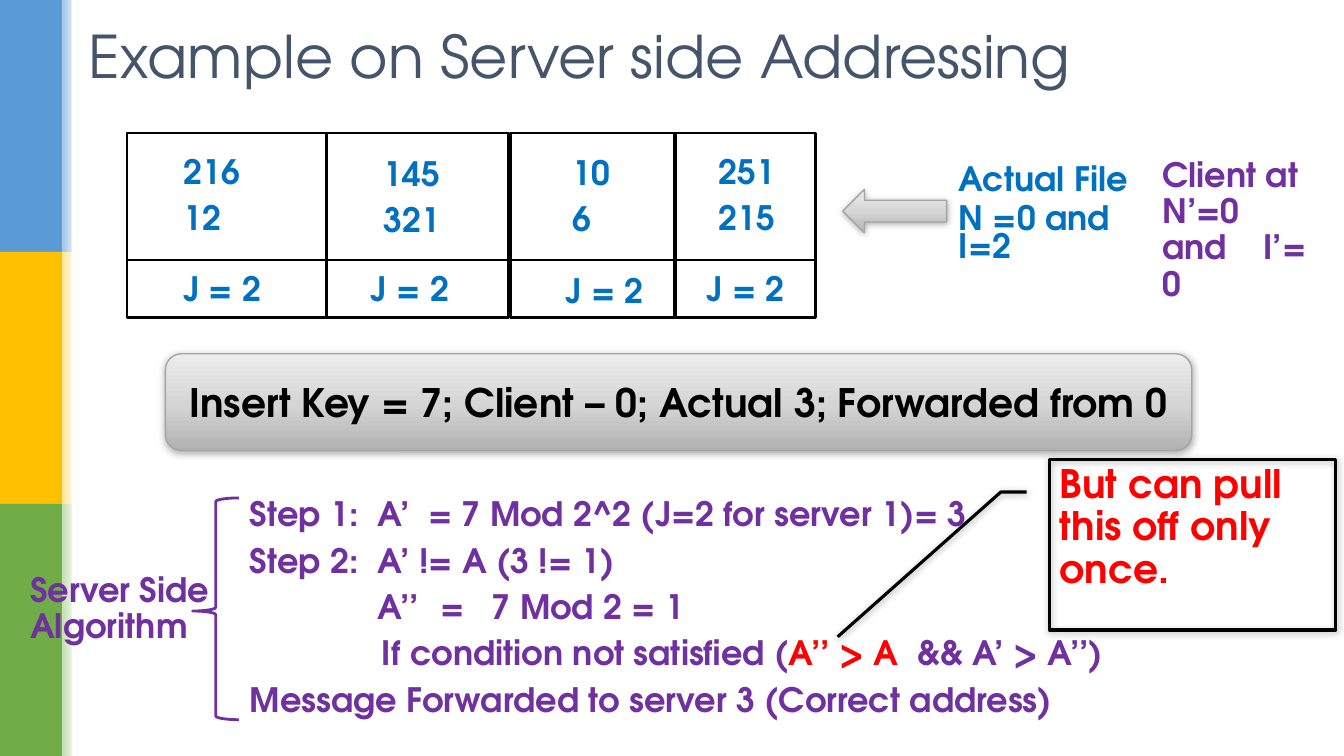
import pptx
import pptx.dml.color
import pptx.enum.shapes
import pptx.enum.text
import pptx.oxml
import pptx.oxml.ns
import pptx.util
from pptx.util import Inches, Pt
from lxml import etree

THEME = {
    "font": "TeX Gyre Adventor",
    "title": "44546A", "blue": "0070C0", "purple": "7030A0",
    "red": "FF0000", "black": "000000", "white": "FFFFFF", "edge": "A5A5A5",
    "silver": [(0, "B1B1B1"), (48, "D5D5D5"), (100, "EDEDED")],
    "title_size": 42, "large": 28, "body": 24,
}

# Content
TITLE = "Example on Server side Addressing"
BANDS = [("5B9BD5", "9DC3E6"), ("FFC000", "FFE699"), ("70AD47", "C5E0B4")]
# Bucket: left, width, keys, (keys left, top, width), level (left, top)
BUCKETS = [
    (1.26, 1.98, ["216", "12"], (1.72, 1.49, 1.31), (1.72, 2.65)),
    (3.24, 1.80, ["145", "321"], (3.71, 1.51, 1.10), (3.58, 2.65)),
    (5.06, 1.63, ["10", "6"], (5.58, 1.50, 0.79), (5.51, 2.67)),
    (6.70, 1.39, ["251", "215"], (7.03, 1.49, 0.79), (6.91, 2.65)),
]
LEVEL = "J = 2"
FILE_STATE = ["Actual File", "N =0 and I=2"]
CLIENT_STATE = ["Client at N’=0 and\tI’= 0"]
INSERT = "Insert Key = 7; Client – 0; Actual 3; Forwarded from 0"
# Step: text or (text, colour) runs, tab stops
STEPS = [
    ("Step 1:\tA’\t= 7 Mod 2^2 (J=2 for server 1)= 3", [1.27, 1.77]),
    ("Step 2:\tA’ != A (3 != 1)", [1.27]),
    ("\tA’’\t=\t7 Mod 2 = 1", [1.27, 1.89, 2.40]),
    ([("\tIf condition not satisfied (", "purple"), ("A’’ > A", "red"),
      ("\t&& A’ > A’’)", "purple")], [1.31, 6.62]),
    ("Message Forwarded to server 3 (Correct address)", []),
]
ALGORITHM = ["Server Side Algorithm"]
REMARK = ["But can pull this off only once."]

SHAPES = pptx.enum.shapes.MSO_SHAPE
MIDDLE = pptx.enum.text.MSO_ANCHOR.MIDDLE
ALIGN = pptx.enum.text.PP_ALIGN
qn = pptx.oxml.ns.qn

prs = pptx.Presentation()
prs.slide_width, prs.slide_height = Inches(13.33), Inches(7.5)
s = prs.slides.add_slide(prs.slide_layouts[5])


def rgb(value):
    return pptx.dml.color.RGBColor.from_string(THEME.get(value, value))


def write(tf, lines, color="blue", size=THEME["body"], bold=True,
          spacing=0.9, before=0.3, align=ALIGN.LEFT, stops=()):
    tf.word_wrap = True
    for i, line in enumerate(lines):
        p = tf.paragraphs[0] if i == 0 else tf.add_paragraph()
        p.alignment, p.line_spacing = align, spacing
        p.space_before = Pt(round(before * size, 1))
        runs = [(line, color)] if isinstance(line, str) else line
        for text, run_color in runs:
            r = p.add_run()
            r.text = text
            r.font.name, r.font.size, r.font.bold = THEME["font"], Pt(size), bold
            r.font.color.rgb = rgb(run_color)
        if i < len(stops) and stops[i]:
            tabs = etree.SubElement(p._p.get_or_add_pPr(), qn("a:tabLst"))
            for pos in stops[i]:
                etree.SubElement(tabs, qn("a:tab"), pos=str(Inches(pos)), algn="l")


def text_box(at, lines, **fmt):
    sp = s.shapes.add_textbox(*map(Inches, at))
    write(sp.text_frame, lines, **fmt)


def shape(kind, at, fill=None, line=None, width=1, angle=0, shadow=False):
    sp = s.shapes.add_shape(kind, *map(Inches, at))
    sp.shadow.inherit = False
    if isinstance(fill, list):
        sp.fill.gradient()
        grad = sp._element.spPr.find(qn("a:gradFill"))
        stops = grad.find(qn("a:gsLst"))
        for old in list(stops):
            stops.remove(old)
        for pos, color in fill:
            gs = etree.SubElement(stops, qn("a:gs"), pos=str(pos * 1000))
            etree.SubElement(gs, qn("a:srgbClr"), val=color)
        grad.find(qn("a:lin")).set("ang", str(angle * 60000))
    elif fill:
        sp.fill.solid()
        sp.fill.fore_color.rgb = rgb(fill)
    else:
        sp.fill.background()
    if line:
        sp.line.color.rgb = rgb(line)
        sp.line.width = Pt(width)
    else:
        sp.line.fill.background()
    if shadow:
        outer = etree.SubElement(
            sp._element.spPr.find(qn("a:effectLst")), qn("a:outerShdw"),
            blurRad=str(Pt(5)), dist=str(Pt(1)), dir="5400000", algn="ctr",
            rotWithShape="0")
        clr = etree.SubElement(outer, qn("a:srgbClr"), val=THEME["black"])
        etree.SubElement(clr, qn("a:alpha"), val="32000")
    return sp


# Side bands
for i, (solid, tint) in enumerate(BANDS):
    shape(SHAPES.RECTANGLE, (0, 2.5 * i, 0.62, 2.5), solid)
    shape(SHAPES.RECTANGLE, (0.62, 2.5 * i, 0.16, 2.5),
          [(0, tint), (100, THEME["white"])])
shape(SHAPES.RECTANGLE, (0.71, 0, 0.05, 7.5), "white")

# Title
title = s.shapes.title
title.left, title.top, title.width, title.height = map(
    Inches, (0.78, 0.16, 12.53, 0.86))
title.text_frame.vertical_anchor = MIDDLE
write(title.text_frame, [TITLE], color="title", size=THEME["title_size"],
      bold=False, before=0)

# Buckets with keys and levels
for left, width, keys, keys_at, level_at in BUCKETS:
    shape(SHAPES.RECTANGLE, (left, 1.32, width, 1.83), line="black", width=2)
    text_box((*keys_at, 0.97), keys)
    text_box((*level_at, 1.31, 0.48), [LEVEL])
divider = s.shapes.add_connector(
    pptx.enum.shapes.MSO_CONNECTOR.STRAIGHT,
    *map(Inches, (1.26, 2.58, 8.07, 2.58)))
divider.line.color.rgb = rgb("black")
divider.line.width = Pt(2)
etree.SubElement(divider._element.spPr, qn("a:effectLst"))

# File and client state
shape(SHAPES.LEFT_ARROW, (8.36, 1.88, 1.03, 0.43), THEME["silver"], "edge",
      angle=270, shadow=True)
text_box((9.41, 1.63, 2.01, 1.06), FILE_STATE, spacing=0.7)
text_box((11.43, 1.52, 1.69, 1.06), CLIENT_STATE, color="purple")

# Insert banner
banner = shape(SHAPES.ROUNDED_RECTANGLE, (1.64, 3.51, 10.18, 0.96),
               THEME["silver"], "edge", angle=270, shadow=True)
banner.text_frame.vertical_anchor = MIDDLE
write(banner.text_frame, [INSERT], color="black", size=THEME["large"],
      spacing=1.0, before=0, align=ALIGN.CENTER)

# Server side algorithm
text_box((2.38, 4.89, 9.24, 2.37), [step for step, _ in STEPS],
         color="purple", stops=[stops for _, stops in STEPS])
text_box((0.2, 5.64, 2.02, 1.06), ALGORITHM, color="purple")
brace = shape(SHAPES.LEFT_BRACE, (1.91, 4.94, 0.46, 2.2), line="purple", width=2)
brace.adjustments[0], brace.adjustments[1] = 0.08, 0.51

# Callout
callout = shape(SHAPES.LINE_CALLOUT_2, (10.41, 4.56, 2.84, 1.69),
                line="black", width=2.25, shadow=True)
for i, value in enumerate((0.19, -0.08, 0.19, -0.17, 1.04, -0.74)):
    callout.adjustments[i] = value
text_box((10.41, 4.56, 3.03, 1.75), REMARK, color="red", size=THEME["large"])

prs.save("out.pptx")
